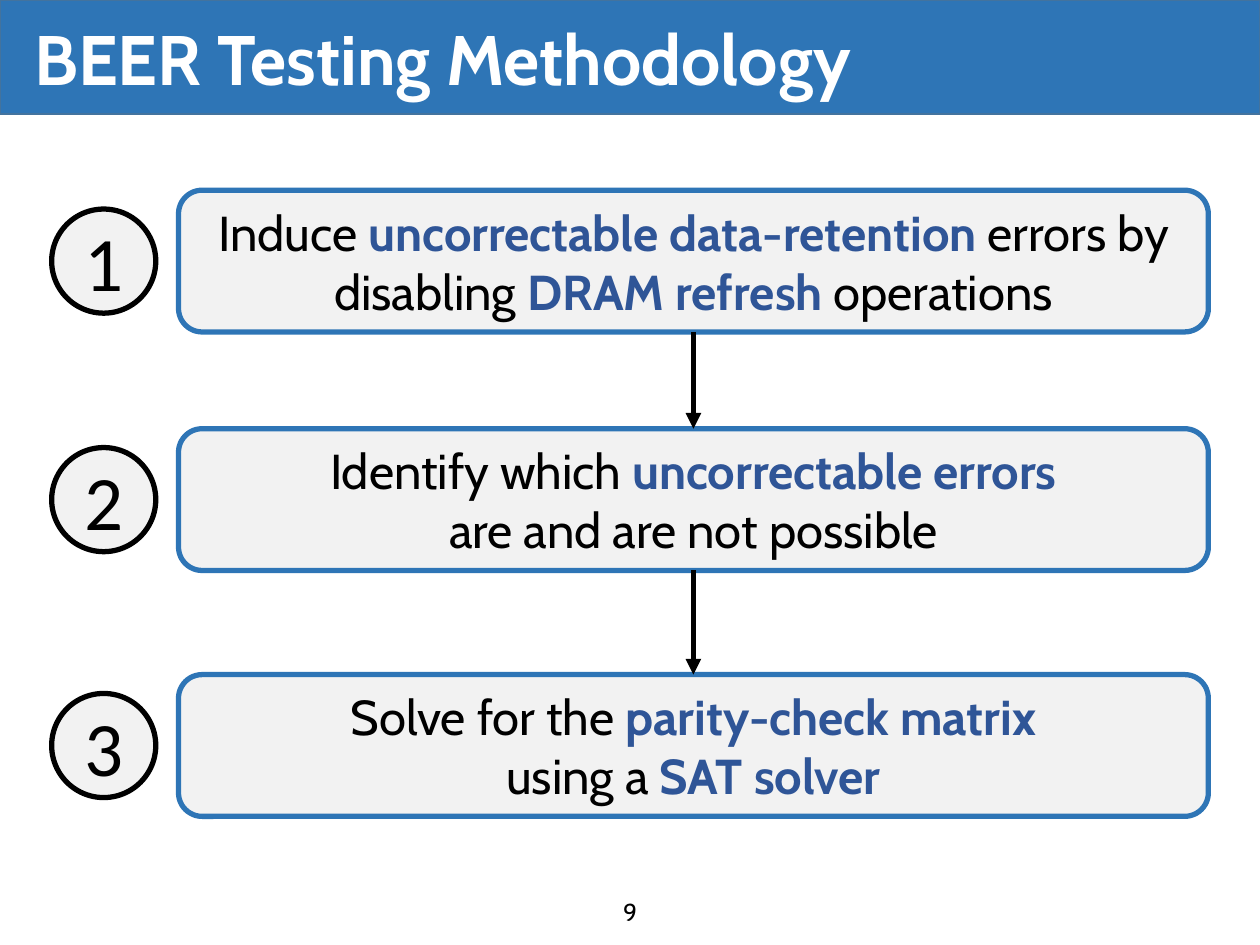
from dataclasses import dataclass

from lxml import etree
from pptx import Presentation
from pptx.dml.color import RGBColor
from pptx.enum.shapes import MSO_CONNECTOR, MSO_SHAPE
from pptx.enum.text import MSO_ANCHOR, PP_ALIGN
from pptx.oxml.ns import qn
from pptx.shapes.autoshape import Shape
from pptx.slide import Slide
from pptx.text.text import Font
from pptx.util import Pt

RECTANGLE = MSO_SHAPE.RECTANGLE
ROUNDED_RECTANGLE = MSO_SHAPE.ROUNDED_RECTANGLE
OVAL = MSO_SHAPE.OVAL
STRAIGHT = MSO_CONNECTOR.STRAIGHT
MIDDLE = MSO_ANCHOR.MIDDLE
LEFT = PP_ALIGN.LEFT
CENTER = PP_ALIGN.CENTER

WHITE = RGBColor(0xFF, 0xFF, 0xFF)
BLACK = RGBColor(0x00, 0x00, 0x00)
LIGHT_GRAY = RGBColor(0xF2, 0xF2, 0xF2)
BLUE = RGBColor(0x2E, 0x75, 0xB6)
HEADER_EDGE = RGBColor(0x43, 0x73, 0x9E)
EMPHASIS_BLUE = RGBColor(0x2F, 0x55, 0x97)

BODY_FONT = "Cabin"
NUMBER_FONT = "Calibri"

SLIDE_WIDTH, SLIDE_HEIGHT = 720, 540
HEADER_HEIGHT = 65
BOX_LEFT, BOX_WIDTH, BOX_HEIGHT = 102, 588.5, 81
CIRCLE_LEFT, CIRCLE_SIZE = 29.5, 59.5
STROKE = 3


@dataclass(frozen=True)
class Phrase:
    text: str
    emphasized: bool = False


@dataclass(frozen=True)
class Step:
    top: float
    lines: list[list[Phrase]]


STEPS = [
    Step(108.7, [[
        Phrase("Induce "),
        Phrase("uncorrectable data-retention", True),
        Phrase(" errors by disabling "),
        Phrase("DRAM refresh ", True),
        Phrase("operations"),
    ]]),
    Step(245, [
        [Phrase("Identify which "), Phrase("uncorrectable errors", True)],
        [Phrase("are and are not possible")],
    ]),
    Step(385.5, [
        [Phrase("Solve for the "), Phrase("parity-check matrix", True)],
        [Phrase("using a "), Phrase("SAT solver", True)],
    ]),
]


def format_font(font: Font, name: str, size: float, color: RGBColor, bold: bool = False) -> None:
    font.name = name
    font.size = Pt(size)
    font.color.rgb = color
    font.bold = bold


def add_outlined_shape(slide: Slide, kind: MSO_SHAPE, left: float, top: float, width: float,
                       height: float, fill: RGBColor, line: RGBColor, line_width: float) -> Shape:
    shape = slide.shapes.add_shape(kind, Pt(left), Pt(top), Pt(width), Pt(height))
    shape.shadow.inherit = False
    shape.fill.solid()
    shape.fill.fore_color.rgb = fill
    shape.line.color.rgb = line
    shape.line.width = Pt(line_width)
    shape.text_frame.word_wrap = True
    shape.text_frame.vertical_anchor = MIDDLE
    return shape


def add_header(slide: Slide, text: str) -> None:
    bar = add_outlined_shape(slide, RECTANGLE, 0, 0, SLIDE_WIDTH, HEADER_HEIGHT,
                             BLUE, HEADER_EDGE, 1)
    title = slide.shapes.title
    title.element.addprevious(bar.element)
    title.left, title.top, title.width, title.height = Pt(12.5), Pt(6.5), Pt(694), Pt(59)
    title.text_frame.text = text
    title.text_frame.word_wrap = True
    title.text_frame.vertical_anchor = MIDDLE
    paragraph = title.text_frame.paragraphs[0]
    paragraph.alignment = LEFT
    paragraph.line_spacing = 0.9
    format_font(paragraph.runs[0].font, BODY_FONT, 40, WHITE, True)


def add_step(slide: Slide, number: int, step: Step) -> None:
    box = add_outlined_shape(slide, ROUNDED_RECTANGLE, BOX_LEFT, step.top, BOX_WIDTH, BOX_HEIGHT,
                             LIGHT_GRAY, BLUE, STROKE)
    for index, line in enumerate(step.lines):
        frame = box.text_frame
        paragraph = frame.add_paragraph() if index else frame.paragraphs[0]
        paragraph.alignment = CENTER
        for phrase in line:
            run = paragraph.add_run()
            run.text = phrase.text
            color = EMPHASIS_BLUE if phrase.emphasized else BLACK
            format_font(run.font, BODY_FONT, 28, color, phrase.emphasized)

    circle_top = step.top + (BOX_HEIGHT - CIRCLE_SIZE) / 2
    circle = add_outlined_shape(slide, OVAL, CIRCLE_LEFT, circle_top, CIRCLE_SIZE, CIRCLE_SIZE,
                                LIGHT_GRAY, BLACK, STROKE)
    circle.text_frame.text = str(number)
    paragraph = circle.text_frame.paragraphs[0]
    paragraph.alignment = CENTER
    format_font(paragraph.runs[0].font, NUMBER_FONT, 44, BLACK)


def add_down_arrow(slide: Slide, upper: Step, lower: Step) -> None:
    center = Pt(BOX_LEFT + BOX_WIDTH / 2)
    arrow = slide.shapes.add_connector(STRAIGHT, center, Pt(upper.top + BOX_HEIGHT),
                                       center, Pt(lower.top))
    arrow.line.color.rgb = BLACK
    arrow.line.width = Pt(STROKE)
    properties = arrow.element.spPr
    line = properties.find(qn("a:ln"))
    etree.SubElement(line, qn("a:tailEnd"), type="triangle")
    etree.SubElement(properties, qn("a:effectLst"))


def add_page_number(slide: Slide, number: int) -> None:
    text_box = slide.shapes.add_textbox(Pt(279), Pt(509), Pt(162), Pt(22))
    text_box.text_frame.word_wrap = True
    text_box.text_frame.text = str(number)
    paragraph = text_box.text_frame.paragraphs[0]
    paragraph.alignment = CENTER
    format_font(paragraph.runs[0].font, BODY_FONT, 14, BLACK)


def main() -> None:
    presentation = Presentation()
    presentation.slide_width = Pt(SLIDE_WIDTH)
    presentation.slide_height = Pt(SLIDE_HEIGHT)
    slide = presentation.slides.add_slide(presentation.slide_layouts.get_by_name("Title Only"))

    add_header(slide, "BEER Testing Methodology")
    add_page_number(slide, 9)
    for number, step in enumerate(STEPS, start=1):
        add_step(slide, number, step)
    for upper, lower in zip(STEPS, STEPS[1:]):
        add_down_arrow(slide, upper, lower)

    presentation.save("out.pptx")


if __name__ == "__main__":
    main()
